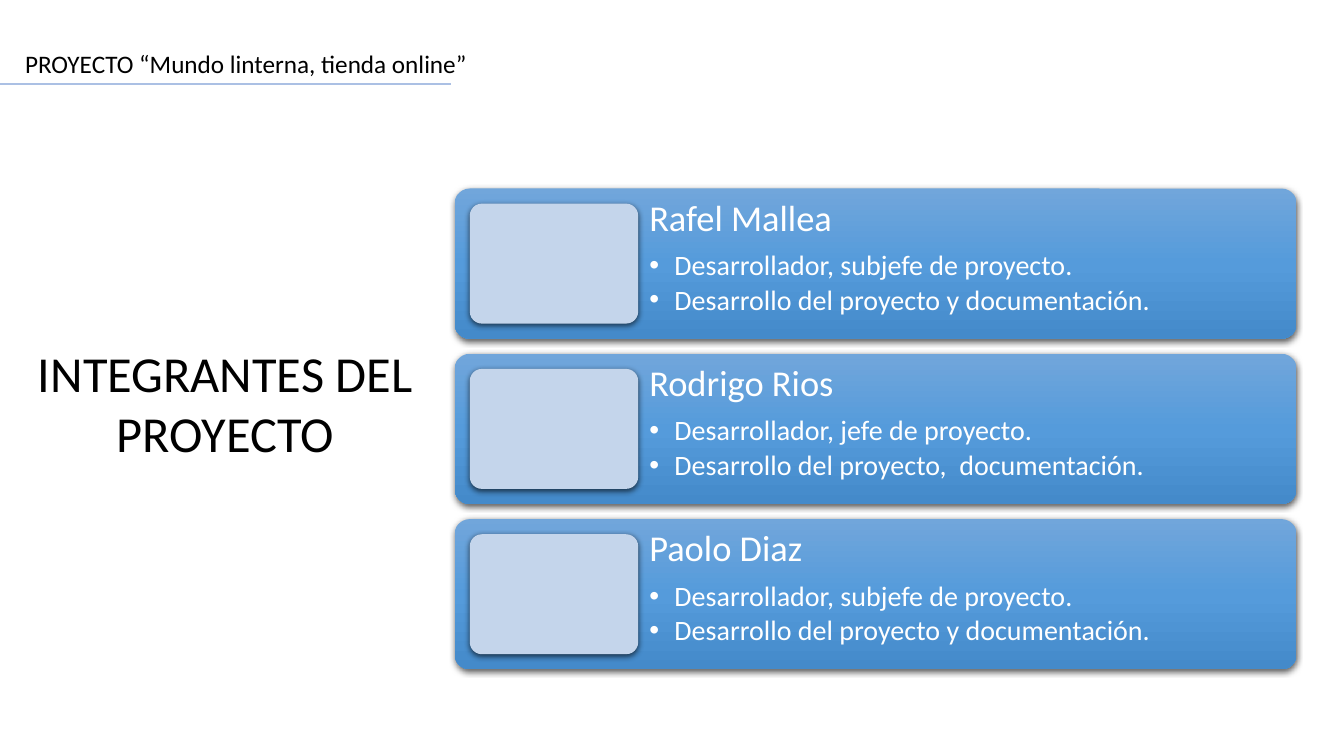
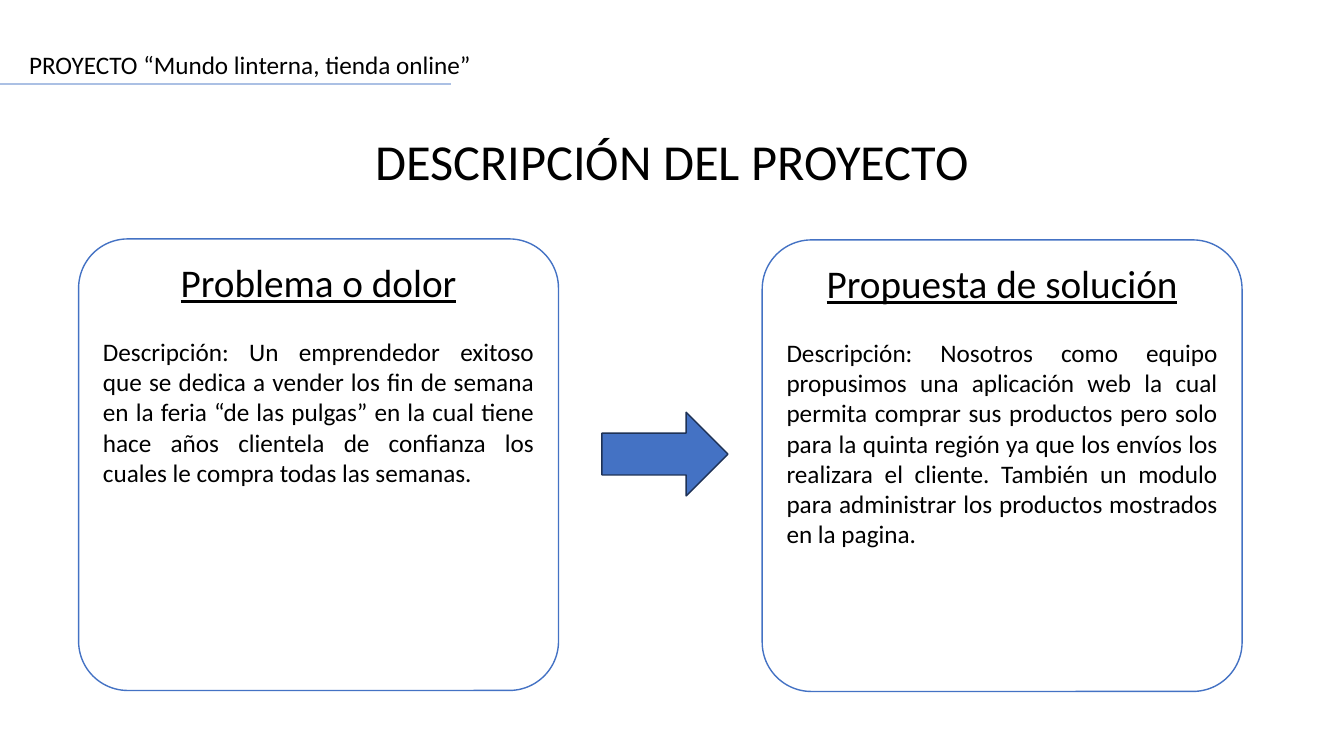
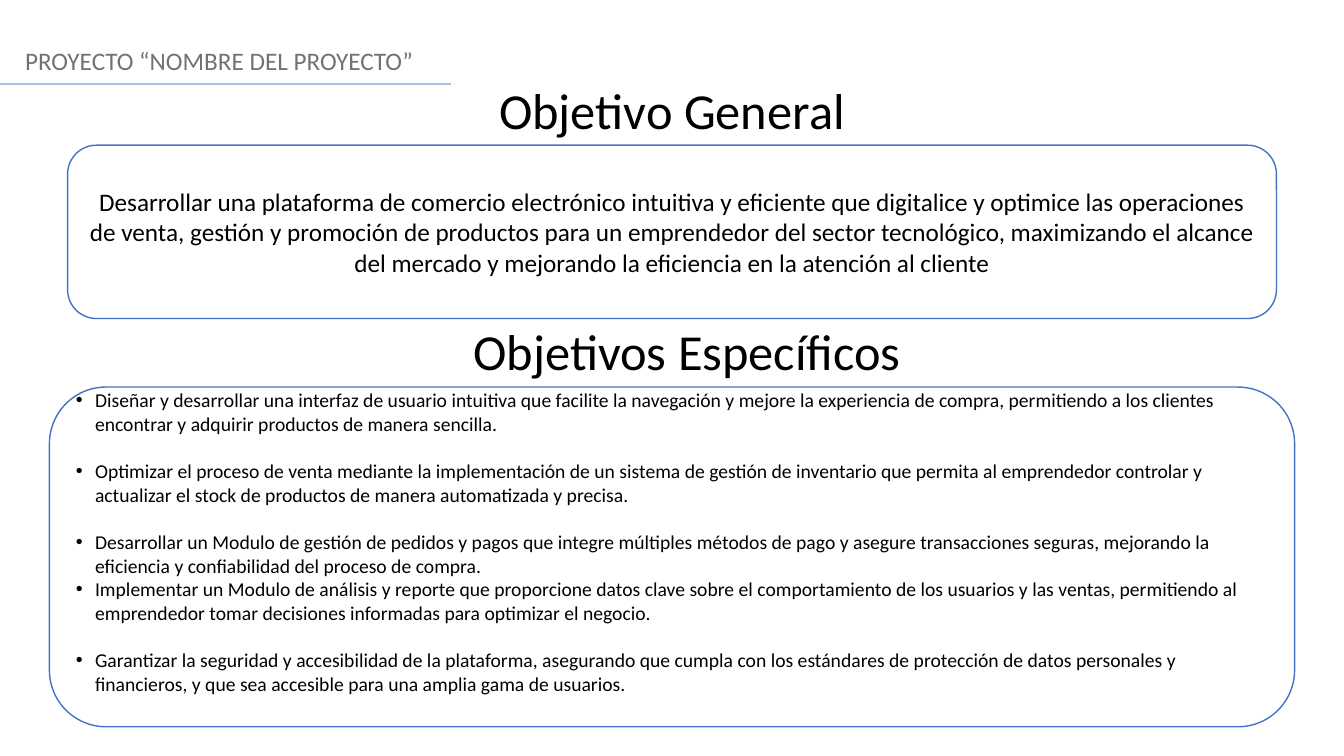
from copy import deepcopy
from dataclasses import dataclass

from pptx import Presentation
from pptx.dml.color import RGBColor
from pptx.enum.shapes import MSO_CONNECTOR, MSO_SHAPE
from pptx.enum.text import MSO_ANCHOR, MSO_AUTO_SIZE, PP_ALIGN
from pptx.oxml import parse_xml
from pptx.oxml.ns import nsdecls, qn
from pptx.util import Pt

PX = 9144


@dataclass(frozen=True)
class Theme:
    font: str = "Calibri"
    ink: str = "000000"
    paper: str = "FFFFFF"
    muted: str = "767171"
    accent: str = "4472C4"
    arrow_edge: str = "1E3256"
    rule: str = "ABC0E4"
    thumbnail: str = "C4D5EB"
    gradient: tuple = ((0, "71A6DB"), (0.5, "559BDB"), (1, "448ACA"))
    title: int = 36
    heading: int = 28
    name: int = 26
    role: int = 20
    body: int = 18
    small: int = 14


theme = Theme()


def write(frame, text, size, color=theme.ink, align=PP_ALIGN.LEFT, after=0,
          spacing=1.0, bullet_indent=0, underline=False):
    para = frame.add_paragraph() if frame.text else frame.paragraphs[0]
    para.text = text
    para.alignment = align
    para.line_spacing = spacing
    para.space_after = Pt(after)
    span = para.runs[0]
    span.font.name = theme.font
    span.font.size = Pt(size)
    span.font.underline = underline
    span.font.color.rgb = RGBColor.from_string(color)
    if bullet_indent:
        properties = para._p.get_or_add_pPr()
        properties.set("marL", str(bullet_indent * PX))
        properties.set("indent", str(-bullet_indent * PX))
        properties.append(parse_xml(f'<a:buFont {nsdecls("a")} typeface="Arial"/>'))
        properties.append(parse_xml(f'<a:buChar {nsdecls("a")} char="•"/>'))
    frame.word_wrap = True


def draw(page, kind, place, fill, line=None, corner=None):
    shape = page.shapes.add_shape(kind, *[PX * length for length in place])
    shape.shadow.inherit = False
    shape.fill.solid()
    shape.fill.fore_color.rgb = RGBColor.from_string(fill)
    if line:
        shape.line.color.rgb = RGBColor.from_string(line)
        shape.line.width = Pt(1)
    else:
        shape.line.fill.background()
    if corner:
        shape.adjustments[0] = corner
    return shape


deck = Presentation()
deck.slide_width, deck.slide_height = 1333 * PX, 750 * PX
layout = deck.slide_layouts.get_by_name("Title Only")

project = "PROYECTO “Mundo linterna, tienda online”"
openings = [
    ("INTEGRANTES DEL PROYECTO", (26, 334, 395, 131), project, (15, 43), theme.ink),
    ("DESCRIPCIÓN DEL PROYECTO", (0, 124, 1333, 71), project, (19, 44), theme.ink),
    ("Objetivo General", (0, 73, 1333, 71),
     "PROYECTO “NOMBRE DEL PROYECTO”", (15, 40), theme.muted),
]
pages = []
for title_text, title_place, banner_text, banner_corner, banner_color in openings:
    page = deck.slides.add_slide(layout)
    title = page.shapes.title
    title.left, title.top, title.width, title.height = [PX * v for v in title_place]
    title.text_frame.auto_size = MSO_AUTO_SIZE.NONE
    title.text_frame.vertical_anchor = MSO_ANCHOR.TOP
    write(title.text_frame, title_text, theme.title, align=PP_ALIGN.CENTER)
    banner = page.shapes.add_textbox(*[PX * v for v in (*banner_corner, 1333, 40)])
    write(banner.text_frame, banner_text, theme.body, banner_color)
    pages.append(page)

team_page, description_page, goals_page = pages

rule = team_page.shapes.add_connector(MSO_CONNECTOR.STRAIGHT, 0, 83 * PX, 447 * PX, 83 * PX)
rule.line.color.rgb = RGBColor.from_string(theme.rule)
rule.line.width = Pt(1.25)
rule.element.spPr.append(parse_xml(f'<a:effectLst {nsdecls("a")}/>'))
layout.shapes.element.append(rule.element)

members = [
    ("Rafel Mallea", "Desarrollador, subjefe de proyecto.",
     "Desarrollo del proyecto y documentación."),
    ("Rodrigo Rios", "Desarrollador, jefe de proyecto.",
     "Desarrollo del proyecto,  documentación."),
    ("Paolo Diaz", "Desarrollador, subjefe de proyecto.",
     "Desarrollo del proyecto y documentación."),
]
for row, (name, *roles) in enumerate(members):
    top = 187 + 164 * row
    card = draw(team_page, MSO_SHAPE.ROUNDED_RECTANGLE, (451, top, 835, 149),
                theme.accent, corner=0.1)
    card.fill.gradient()
    card.fill.gradient_angle = 270
    stop_list = card.element.spPr.find(".//" + qn("a:gsLst"))
    stop_list.append(deepcopy(stop_list[0]))
    for stop, (position, color) in zip(card.fill.gradient_stops, theme.gradient):
        stop.position = position
        stop.color.rgb = RGBColor.from_string(color)
    thumbnail = draw(team_page, MSO_SHAPE.ROUNDED_RECTANGLE, (466, top + 15, 167, 119),
                     theme.thumbnail, corner=0.1)
    for shape in (card, thumbnail):
        shape.element.spPr.find(qn("a:effectLst")).append(parse_xml(
            f'<a:outerShdw {nsdecls("a")} blurRad="57150" dist="19050" dir="5400000" '
            'algn="ctr" rotWithShape="0"><a:srgbClr val="000000">'
            '<a:alpha val="63000"/></a:srgbClr></a:outerShdw>'))
    box = team_page.shapes.add_textbox(*[PX * v for v in (633, top, 653, 149)])
    frame = box.text_frame
    frame.margin_left = frame.margin_right = frame.margin_top = frame.margin_bottom = 11 * PX
    write(frame, name, theme.name, theme.paper, after=9, spacing=0.9)
    for role in roles:
        write(frame, role, theme.role, theme.paper, after=3, spacing=0.9, bullet_indent=25)

panels = [
    (78, 237, "Problema o dolor",
     "Descripción: Un emprendedor exitoso que se dedica a vender los fin de semana en la "
     "feria “de las pulgas” en la cual tiene hace años clientela de confianza los cuales "
     "le compra todas las semanas."),
    (756, 238, "Propuesta de solución",
     "Descripción: Nosotros como equipo propusimos una aplicación web la cual permita "
     "comprar sus productos pero solo para la quinta región ya que los envíos los "
     "realizara el cliente. También un modulo para administrar los productos mostrados "
     "en la pagina."),
]
for left, top, heading, description in panels:
    panel = draw(description_page, MSO_SHAPE.ROUNDED_RECTANGLE, (left, top, 476, 448),
                 theme.paper, theme.accent, corner=0.109)
    panel.text_frame.vertical_anchor = MSO_ANCHOR.TOP
    write(panel.text_frame, heading, theme.heading, align=PP_ALIGN.CENTER, after=22,
          underline=True)
    write(panel.text_frame, description, theme.body, align=PP_ALIGN.JUSTIFY)
draw(description_page, MSO_SHAPE.RIGHT_ARROW, (597, 409, 125, 83),
     theme.accent, theme.arrow_edge)

subtitle = goals_page.shapes.add_textbox(*[PX * v for v in (15, 313, 1333, 71)])
write(subtitle.text_frame, "Objetivos Específicos", theme.title, align=PP_ALIGN.CENTER)
general = draw(goals_page, MSO_SHAPE.ROUNDED_RECTANGLE, (67, 144, 1199, 172),
               theme.paper, theme.accent)
write(general.text_frame,
      "Desarrollar una plataforma de comercio electrónico intuitiva y eficiente que "
      "digitalice y optimice las operaciones de venta, gestión y promoción de productos "
      "para un emprendedor del sector tecnológico, maximizando el alcance del mercado y "
      "mejorando la eficiencia en la atención al cliente",
      theme.body, align=PP_ALIGN.CENTER)

goals = [
    ("Diseñar y desarrollar una interfaz de usuario intuitiva que facilite la navegación y "
     "mejore la experiencia de compra, permitiendo a los clientes encontrar y adquirir "
     "productos de manera sencilla.", 17),
    ("Optimizar el proceso de venta mediante la implementación de un sistema de gestión de "
     "inventario que permita al emprendedor controlar y actualizar el stock de productos "
     "de manera automatizada y precisa.", 17),
    ("Desarrollar un Modulo de gestión de pedidos y pagos que integre múltiples métodos de "
     "pago y asegure transacciones seguras, mejorando la eficiencia y confiabilidad del "
     "proceso de compra.", 0),
    ("Implementar un Modulo de análisis y reporte que proporcione datos clave sobre el "
     "comportamiento de los usuarios y las ventas, permitiendo al emprendedor tomar "
     "decisiones informadas para optimizar el negocio.", 17),
    ("Garantizar la seguridad y accesibilidad de la plataforma, asegurando que cumpla con "
     "los estándares de protección de datos personales y financieros, y que sea accesible "
     "para una amplia gama de usuarios.", 0),
]
specific = draw(goals_page, MSO_SHAPE.ROUNDED_RECTANGLE, (49, 384, 1235, 337),
                theme.paper, theme.accent)
specific.text_frame.margin_bottom = 35 * PX
for goal, gap in goals:
    write(specific.text_frame, goal, theme.small, after=gap, bullet_indent=19)

deck.save("out.pptx")
